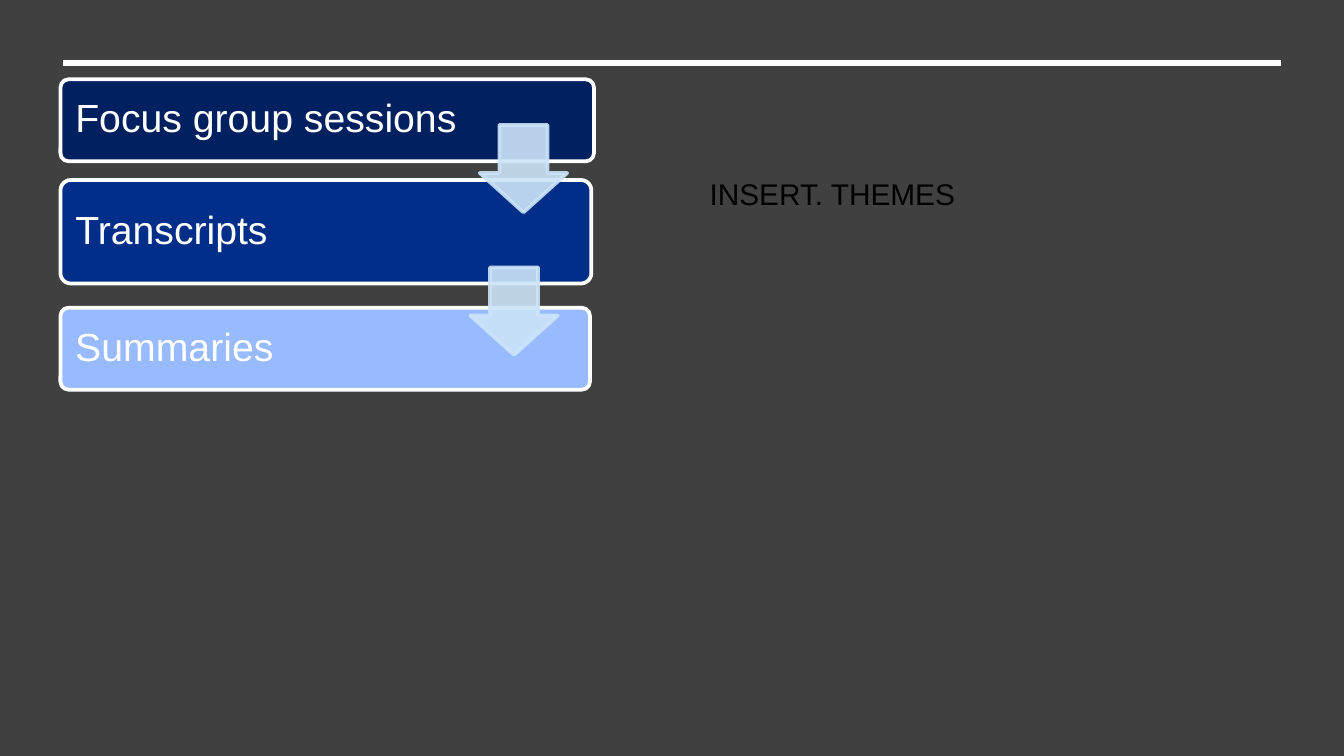
"""Build a slide with a three-step flow from focus groups to summaries."""
from pptx import Presentation
from pptx.dml.color import RGBColor as RGB
from pptx.enum.shapes import MSO_CONNECTOR as CONN, MSO_SHAPE as SHAPE
from pptx.enum.text import MSO_ANCHOR as ANCHOR
from pptx.oxml.ns import qn
from pptx.util import Inches, Pt
from lxml import etree

COLORS = {
    "bg": "404040", "white": "FFFFFF", "black": "000000", "arrow": "CCE4F9",
    "navy": "002060", "blue": "002E89", "sky": "98BAFF",
}
C = {name: RGB.from_string(value) for name, value in COLORS.items()}

prs = Presentation()
prs.slide_width, prs.slide_height = Inches(10), Inches(10 * 9 / 16)
W, H = prs.slide_width / 100, prs.slide_height / 100
s = prs.slides.add_slide(prs.slide_layouts[6])
s.background.fill.solid()
s.background.fill.fore_color.rgb = C["bg"]


def add_block(kind, x, y, w, h, adj, fill, line):
    sp = s.shapes.add_shape(kind, int(x * W), int(y * H), int(w * W), int(h * H))
    sp.shadow.inherit = False
    for i, value in enumerate(adj):
        sp.adjustments[i] = value
    sp.fill.solid()
    sp.fill.fore_color.rgb = C[fill]
    sp.line.color.rgb = C[line]
    sp.line.width = Pt(2)
    return sp


def add_label(text, x, y, w, h, inset, frame, font, color):
    tf = s.shapes.add_textbox(int(x * W), int(y * H), int(w * W), int(h * H)).text_frame
    for side in ("left", "top", "right", "bottom"):
        setattr(tf, f"margin_{side}", Inches(inset))
    for key, value in frame.items():
        setattr(tf, key, value)
    p = tf.paragraphs[0]
    r = p.add_run()
    r.text = text
    for key, value in font.items():
        setattr(r.font, key, value)
    r.font.color.rgb = C[color]
    return p


rule = s.shapes.add_connector(CONN.STRAIGHT, int(4.7 * W), int(8.36 * H), int(95.3 * W), int(8.36 * H))
rule.line.color.rgb = C["white"]
rule.line.width = Pt(3)
etree.SubElement(rule._element.spPr, qn("a:effectLst"))

LEFT, PAD_X, PAD_Y = 4.5, 0.2, 0.36
STEPS = [
    ("Focus group sessions", 10.49, 39.7, 10.84, 30.9, "navy"),
    ("Transcripts", 23.82, 39.5, 13.69, 30.2, "blue"),
    ("Summaries", 40.71, 39.4, 10.84, 30.3, "sky"),
]
STEP_FRAME = {"word_wrap": True, "vertical_anchor": ANCHOR.MIDDLE}
STEP_FONT = {"name": "Arial", "size": Pt(21)}
for text, y, w, h, text_w, fill in STEPS:
    add_block(SHAPE.ROUNDED_RECTANGLE, LEFT, y, w, h, [0.1], fill, "white")
    p = add_label(text, LEFT + PAD_X, y + PAD_Y, text_w, h - 2 * PAD_Y, 0.09,
                  STEP_FRAME, STEP_FONT, "white")
    p.line_spacing = 0.9

for x, y in [(35.7, 16.53), (35, 35.38)]:
    sp = add_block(SHAPE.DOWN_ARROW, x, y, 6.5, 11.56, [0.55, 0.45], "arrow", "arrow")
    for clr in sp._element.spPr.iter(qn("a:srgbClr")):
        etree.SubElement(clr, qn("a:alpha"), val="90000")

add_label("INSERT. THEMES", 52.8, 23.29, 28.2, 31.82, 0,
          {"word_wrap": True, "vertical_anchor": ANCHOR.TOP},
          {"name": "Arial", "size": Pt(16)}, "black")

prs.save("out.pptx")
